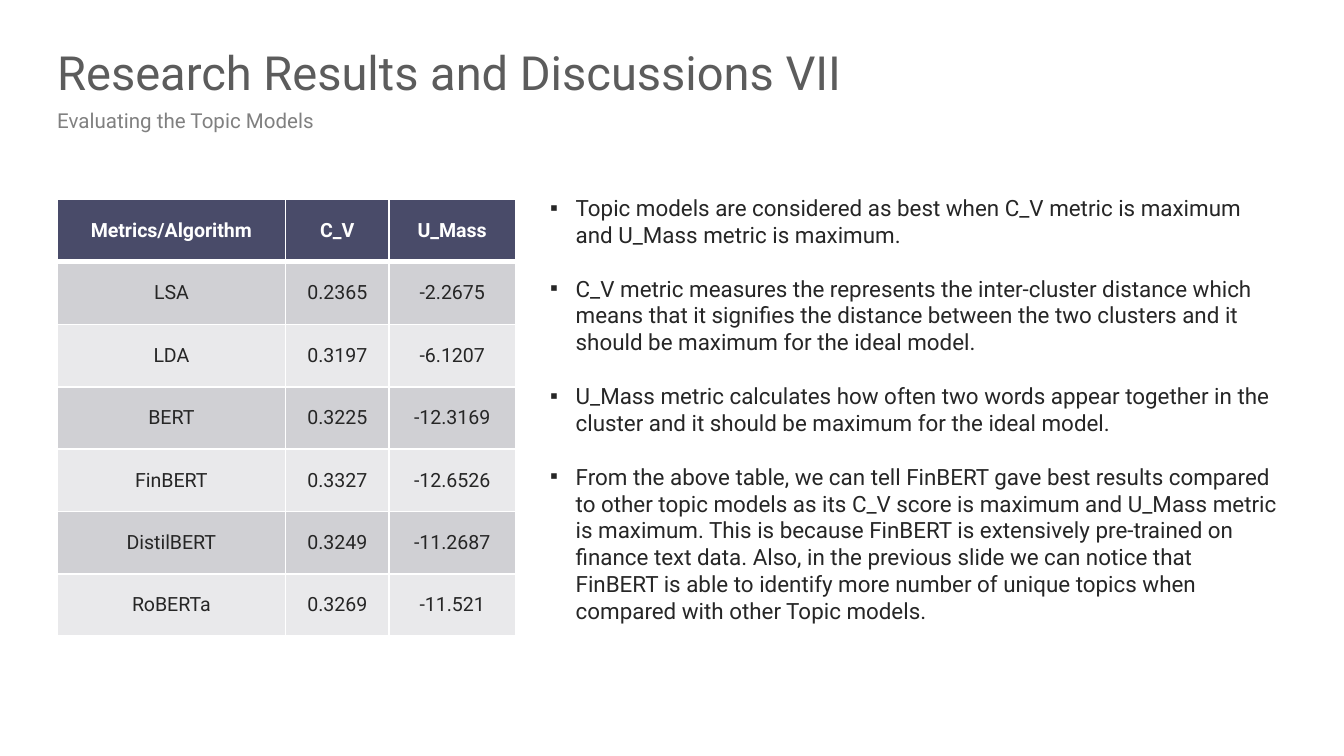
from dataclasses import dataclass

from lxml import etree
from pptx import Presentation
from pptx import util as u
from pptx.dml.color import RGBColor
from pptx.enum import text as t
from pptx.oxml.ns import qn

PX = 4572  # EMU per px, 200 px to the inch


@dataclass(frozen=True)
class Theme:
    face: str = "Roboto"
    mark: str = "Arial"
    title: str = "5C5C5C"
    sub: str = "808080"
    ink: str = "262626"
    white: str = "FFFFFF"
    head: str = "494B69"
    bands: tuple = ("D0D0D4", "E9E9EB")
    big: float = 25.2
    body: float = 12
    small: float = 11
    cell: float = 10.5


class Deck:
    def __init__(self, theme, wide, high):
        self.theme = theme
        self.prs = Presentation()
        self.prs.slide_width, self.prs.slide_height = wide * PX, high * PX
        self.slide = self.prs.slides.add_slide(self.prs.slide_layouts[5])

    def font(self, para, size, color, bold=False):
        font = para.font
        font.name, font.size, font.bold = self.theme.face, u.Pt(size), bold
        font.color.rgb = RGBColor.from_string(color)

    def line(self, shape, words, size, color):
        frame = shape.text_frame
        frame.text = words
        frame.auto_size = t.MSO_AUTO_SIZE.NONE
        frame.vertical_anchor = t.MSO_ANCHOR.MIDDLE
        frame.margin_left = frame.margin_right = 0
        frame.margin_top = frame.margin_bottom = 0
        para = frame.paragraphs[0]
        para.alignment = t.PP_ALIGN.LEFT
        self.font(para, size, color)

    def title(self, words, x, y, w, h):
        shape = self.slide.shapes.title
        shape.left, shape.top, shape.width, shape.height = (
            n * PX for n in (x, y, w, h))
        self.line(shape, words, self.theme.big, self.theme.title)

    def box(self, x, y, w, h):
        return self.slide.shapes.add_textbox(*(n * PX for n in (x, y, w, h)))

    def label(self, words, x, y, w, h):
        self.line(self.box(x, y, w, h), words, self.theme.small, self.theme.sub)

    def edges(self, cell):
        """White cell borders, heavy at the bottom."""
        props = cell._tc.get_or_add_tcPr()
        for i, (side, wide) in enumerate(zip("LRTB", (1, 1, 1, 3))):
            edge = etree.Element(qn(f"a:ln{side}"), w=str(u.Pt(wide)))
            fill = etree.SubElement(edge, qn("a:solidFill"))
            etree.SubElement(fill, qn("a:srgbClr"), val=self.theme.white)
            props.insert(i, edge)

    def table(self, rows, cols, x, y, high):
        """Header row plus banded rows; cols holds the column widths."""
        th = self.theme
        grid = self.slide.shapes.add_table(
            len(rows), len(cols), x * PX, y * PX,
            sum(cols) * PX, high * PX).table
        for col, wide in zip(grid.columns, cols):
            col.width = wide * PX
        for r, row in enumerate(rows):
            fill = th.bands[(r - 1) % 2] if r else th.head
            for c, words in enumerate(row):
                cell = grid.cell(r, c)
                cell.text = words
                cell.fill.solid()
                cell.fill.fore_color.rgb = RGBColor.from_string(fill)
                cell.vertical_anchor = t.MSO_ANCHOR.MIDDLE
                cell.margin_left = cell.margin_right = 14 * PX
                cell.margin_top = cell.margin_bottom = 0
                para = cell.text_frame.paragraphs[0]
                para.alignment = t.PP_ALIGN.CENTER
                self.font(para, th.cell, th.ink if r else th.white, r == 0)
                if r == 0:
                    self.edges(cell)

    def bullets(self, items, x, y, w, h, indent, gap):
        frame = self.box(x, y, w, h).text_frame
        frame.word_wrap = True
        for i, words in enumerate(items):
            para = frame.add_paragraph() if i else frame.paragraphs[0]
            para.text = words
            para.space_before = u.Pt(gap if i else 0)
            self.font(para, self.theme.body, self.theme.ink)
            props = para._p.get_or_add_pPr()
            props.set("marL", str(indent * PX))
            props.set("indent", str(-indent * PX))
            last = props.find(qn("a:defRPr"))
            last.addprevious(
                etree.Element(qn("a:buFont"), typeface=self.theme.mark))
            last.addprevious(etree.Element(qn("a:buChar"), char="▪"))


def main():
    deck = Deck(Theme(), 2000, 1125)

    # Heading
    deck.label("Evaluating the Topic Models", 85, 160, 1830, 38)
    deck.title("Research Results and Discussions VII", 85, 62, 1830, 90)

    # Metric scores
    scores = [
        ("Metrics/Algorithm", "C_V", "U_Mass"),
        ("LSA", "0.2365", "-2.2675"),
        ("LDA", "0.3197", "-6.1207"),
        ("BERT", "0.3225", "-12.3169"),
        ("FinBERT", "0.3327", "-12.6526"),
        ("DistilBERT", "0.3249", "-11.2687"),
        ("RoBERTa", "0.3269", "-11.521"),
    ]
    deck.table(scores, (340, 154, 188), 85, 297, 650)

    # Findings
    notes = [
        "Topic models are considered as best when C_V metric is maximum "
        "and U_Mass metric is maximum.",
        "C_V metric measures the represents the inter-cluster distance which "
        "means that it signifies the distance between the two clusters and it "
        "should be maximum for the ideal model.",
        "U_Mass metric calculates how often two words appear together in the "
        "cluster and it should be maximum for the ideal model.",
        "From the above table, we can tell FinBERT gave best results compared "
        "to other topic models as its C_V score is maximum and U_Mass metric "
        "is maximum. This is because FinBERT is extensively pre-trained on "
        "finance text data. Also, in the previous slide we can notice that "
        "FinBERT is able to identify more number of unique topics when "
        "compared with other Topic models.",
    ]
    deck.bullets(notes, 799, 279, 1122, 666, indent=38, gap=14.4)

    deck.prs.save("out.pptx")


if __name__ == "__main__":
    main()
